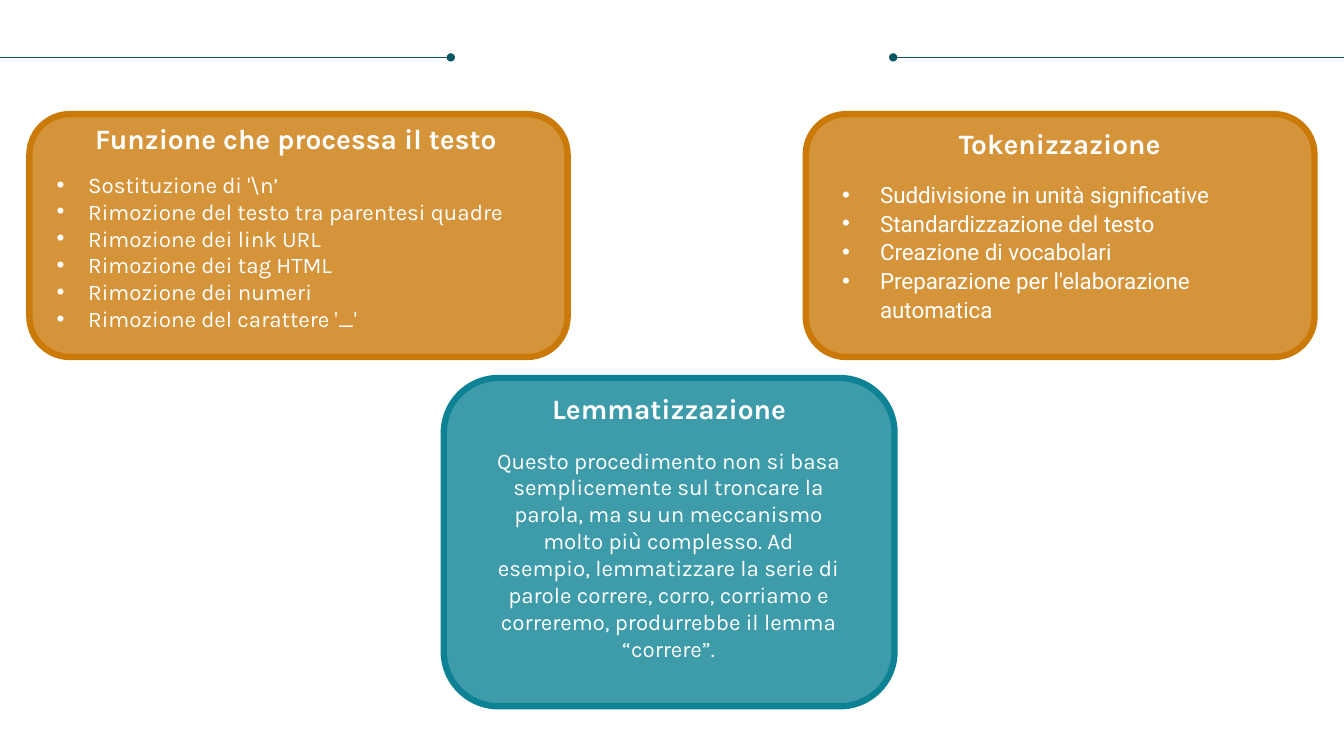
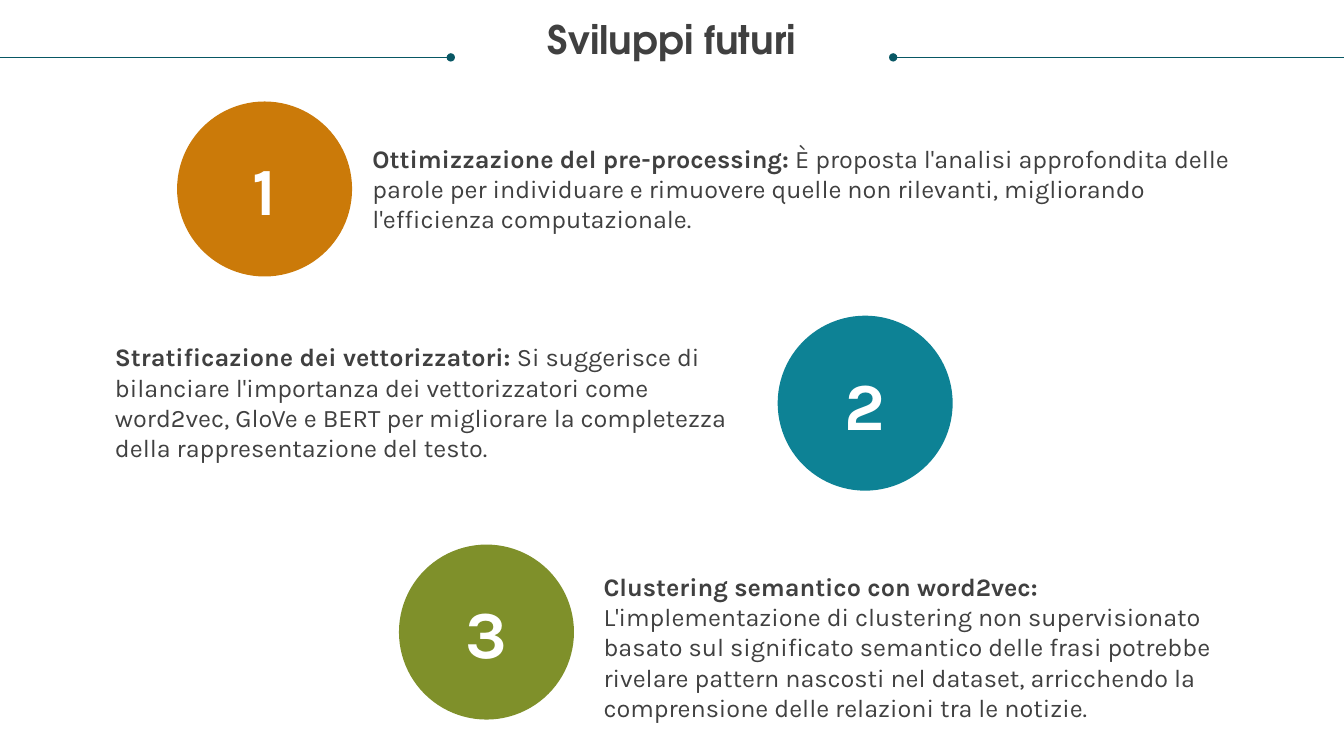
from lxml.etree import SubElement
from pptx import Presentation
from pptx.dml.color import RGBColor
from pptx.enum.shapes import MSO_CONNECTOR as Connector, MSO_SHAPE as Shape
from pptx.enum.text import MSO_ANCHOR as Anchor, MSO_AUTO_SIZE as AutoSize, PP_ALIGN as Align
from pptx.oxml.ns import qn
from pptx.util import Pt

# Shared colours, fonts and measures
ORANGE, TEAL, GREEN = "CB7A09", "0D8295", "7F902A"
LINE, DARK, WHITE = "085764", "404040", "FFFFFF"
BODY_FONT, LIST_FONT, TITLE_FONT = "Karla", "Roboto", "TeX Gyre Adventor"
WIDTH, HEIGHT = 960, 540
RULE_Y, RULE_LENGTH = 41, 322
CIRCLE = 125


def color(value):
    return RGBColor.from_string(value)


def points(*lengths):
    return [Pt(length) for length in lengths]


class Deck:
    """Holds the style and the current slide."""

    def __init__(self):
        self.presentation = Presentation()
        self.presentation.slide_width = Pt(WIDTH)
        self.presentation.slide_height = Pt(HEIGHT)
        self.slide = None

    def new_slide(self, title=None):
        layout = self.presentation.slide_layouts[5 if title else 6]
        self.slide = self.presentation.slides.add_slide(layout)
        self.rule(0, RULE_LENGTH)
        self.rule(WIDTH, WIDTH - RULE_LENGTH)
        if title:
            self.title(title)

    def title(self, text):
        shape = self.slide.shapes.title
        shape.left, shape.top, shape.width, shape.height = points(18, 15, 924, 53)
        frame = shape.text_frame
        frame.text = text
        self.frame(frame, Anchor.TOP, inset=False)
        self.style(frame.paragraphs[0], 28, DARK, TITLE_FONT, True, Align.CENTER, 0.9)

    def rule(self, start, end):
        """A thin line that ends in a dot."""
        line = self.slide.shapes.add_connector(
            Connector.STRAIGHT, *points(start, RULE_Y, end, RULE_Y))
        line.line.color.rgb = color(LINE)
        line.line.width = Pt(0.5)
        properties = line.element.spPr
        SubElement(properties.find(qn("a:ln")), qn("a:tailEnd"), type="oval")
        SubElement(properties, qn("a:effectLst"))

    def shape(self, kind, box, fill):
        shape = self.slide.shapes.add_shape(kind, *points(*box))
        shape.shadow.inherit = False
        shape.fill.solid()
        shape.fill.fore_color.rgb = color(fill)
        shape.line.fill.background()
        return shape

    def card(self, box, fill):
        """A rounded card: translucent fill, solid border."""
        card = self.shape(Shape.ROUNDED_RECTANGLE, box, fill)
        solid = card.element.spPr.find(qn("a:solidFill"))
        SubElement(solid.find(qn("a:srgbClr")), qn("a:alpha"), val="80000")
        card.line.color.rgb = color(fill)
        card.line.width = Pt(4.5)

    def circle(self, left, top, fill, number):
        circle = self.shape(Shape.OVAL, (left, top, CIRCLE, CIRCLE), fill)
        frame = circle.text_frame
        frame.text = number
        frame.vertical_anchor = Anchor.MIDDLE
        self.style(frame.paragraphs[0], 48, WHITE, bold=True, align=Align.CENTER)

    def text_box(self, box, anchor=Anchor.TOP, inset=True):
        frame = self.slide.shapes.add_textbox(*points(*box)).text_frame
        self.frame(frame, anchor, inset)
        frame.auto_size = AutoSize.SHAPE_TO_FIT_TEXT
        return frame

    def text(self, box, text, size=16, bold=False, spacing=None, inset=True):
        """White centred text on a card."""
        frame = self.text_box(box, inset=inset)
        frame.text = text
        self.style(frame.paragraphs[0], size, WHITE, BODY_FONT, bold, Align.CENTER, spacing)

    def bullets(self, box, items, indent, font=BODY_FONT, spacing=None,
                anchor=Anchor.TOP, inset=True):
        frame = self.text_box(box, anchor, inset)
        frame.text = "\n".join(items)
        for paragraph in frame.paragraphs:
            properties = paragraph._p.get_or_add_pPr()
            properties.set("marL", str(Pt(indent)))
            properties.set("indent", str(-Pt(indent)))
            SubElement(properties, qn("a:buFont"), typeface="Arial")
            SubElement(properties, qn("a:buChar"), char="•")
            self.style(paragraph, 16, WHITE, font, spacing=spacing)

    def lead_text(self, box, lead, rest):
        """A paragraph that opens with a bold phrase."""
        paragraph = self.text_box(box).paragraphs[0]
        self.style(paragraph, 18, DARK)
        for words, bold in ((lead, True), (" " + rest, False)):
            run = paragraph.add_run()
            run.text = words
            run.font.bold = bold

    @staticmethod
    def frame(frame, anchor, inset):
        frame.word_wrap = True
        frame.vertical_anchor = anchor
        if not inset:
            frame.margin_left = frame.margin_right = 0
            frame.margin_top = frame.margin_bottom = 0

    @staticmethod
    def style(paragraph, size, ink, font=BODY_FONT, bold=False, align=Align.LEFT, spacing=None):
        paragraph.alignment = align
        paragraph.line_spacing = spacing
        paragraph.font.size = Pt(size)
        paragraph.font.name = font
        paragraph.font.bold = bold
        paragraph.font.color.rgb = color(ink)


def preprocessing_slide(deck):
    deck.new_slide()
    # Cards
    deck.card((21, 81.5, 384.5, 173.5), ORANGE)
    deck.card((575.5, 81.5, 363.5, 173.5), ORANGE)
    deck.card((317, 270, 322, 234.5), TEAL)
    # Headings
    deck.text((40.5, 92, 342, 19.5), "Funzione che processa il testo", 20, True, Pt(19), False)
    deck.text((517, 86.5, 480, 31.5), "Tokenizzazione", 20, True)
    deck.text((317, 276, 322, 31.5), "Lemmatizzazione", 20, True)
    # Card contents
    deck.bullets((40.5, 121.5, 384.5, 116.5), (
        "Sostituzione di '\\n’",
        "Rimozione del testo tra parentesi quadre",
        "Rimozione dei link URL",
        "Rimozione dei tag HTML",
        "Rimozione dei numeri",
        "Rimozione del carattere '_'",
    ), 22.5, anchor=Anchor.MIDDLE, inset=False)
    deck.bullets((594.5, 124.5, 329, 110), (
        "Suddivisione in unità significative",
        "Standardizzazione del testo",
        "Creazione di vocabolari",
        "Preparazione per l'elaborazione automatica",
    ), 27, LIST_FONT, 1.07)
    deck.text((346.5, 315.5, 262, 162.5),
              "Questo procedimento non si basa semplicemente sul troncare la parola, "
              "ma su un meccanismo molto più complesso. Ad esempio, lemmatizzare la "
              "serie di parole correre, corro, corriamo e correremo, produrrebbe il "
              "lemma “correre”.")


def future_slide(deck):
    deck.new_slide("Sviluppi futuri")
    # Each step: circle place and colour, text box, bold phrase, text
    steps = (
        (126.5, 72.5, ORANGE, (259, 98.5, 645, 72.5), "Ottimizzazione del pre-processing:",
         "È proposta l'analisi approfondita delle parole per individuare e rimuovere "
         "quelle non rilevanti, migliorando l'efficienza computazionale."),
        (555.5, 225.5, TEAL, (75, 240.5, 480, 94.5), "Stratificazione dei vettorizzatori:",
         "Si suggerisce di bilanciare l'importanza dei vettorizzatori come word2vec, "
         "GloVe e BERT per migliorare la completezza della rappresentazione del testo."),
        (285, 389, GREEN, (424, 404.5, 480, 94.5), "Clustering semantico con word2vec:",
         "L'implementazione di clustering non supervisionato basato sul significato "
         "semantico delle frasi potrebbe rivelare pattern nascosti nel dataset, "
         "arricchendo la comprensione delle relazioni tra le notizie."),
    )
    for number, (left, top, fill, box, lead, rest) in enumerate(steps, 1):
        deck.circle(left, top, fill, str(number))
        deck.lead_text(box, lead, rest)


def main():
    deck = Deck()
    preprocessing_slide(deck)
    future_slide(deck)
    deck.presentation.save("out.pptx")


if __name__ == "__main__":
    main()
